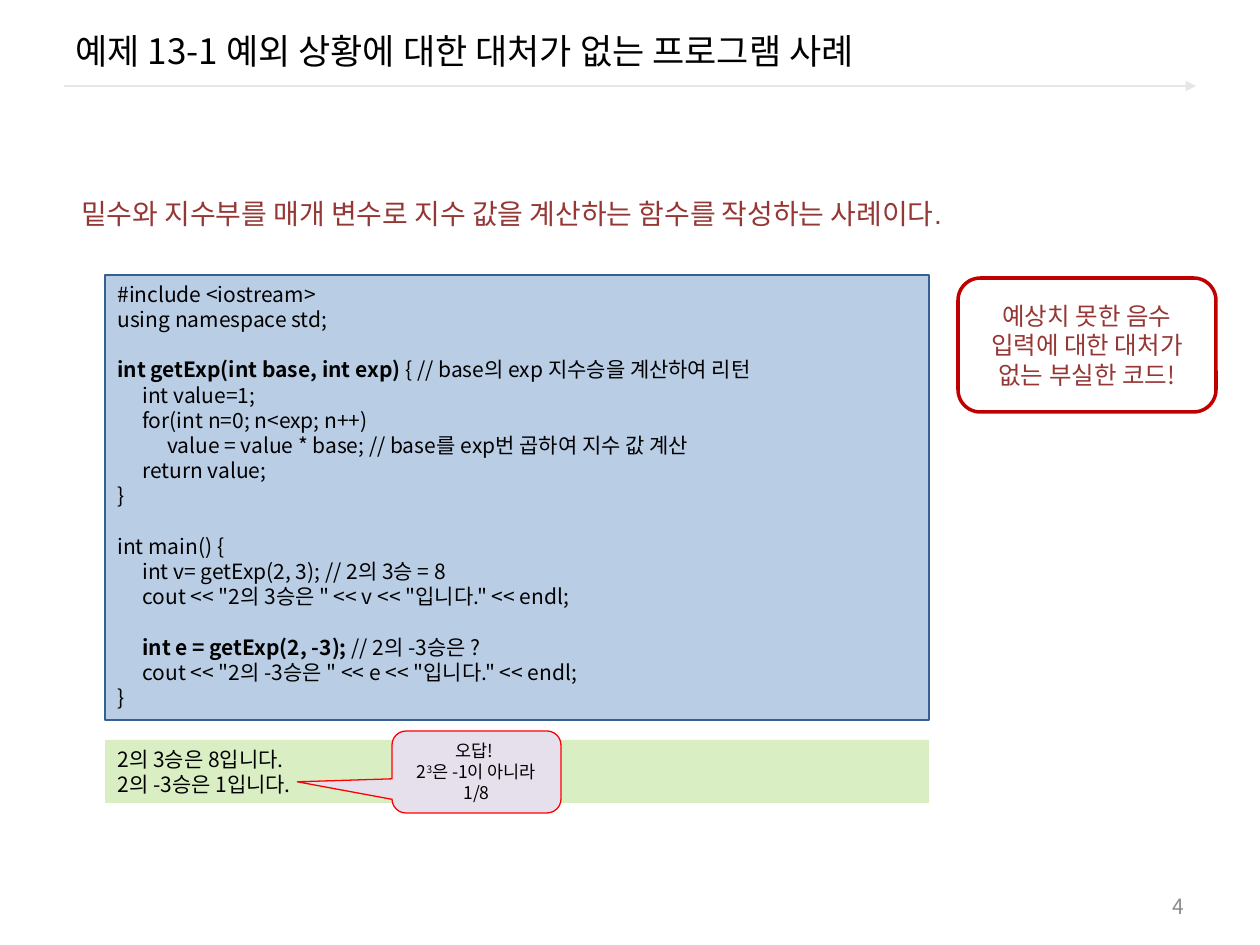
from dataclasses import dataclass, field

from lxml import etree
from pptx import Presentation
from pptx.dml.color import RGBColor
from pptx.enum.shapes import MSO_CONNECTOR, MSO_SHAPE
from pptx.enum.text import MSO_ANCHOR, PP_ALIGN
from pptx.oxml.ns import qn
from pptx.util import Emu, Pt

RECT = MSO_SHAPE.RECTANGLE
ROUNDED = MSO_SHAPE.ROUNDED_RECTANGLE
CALLOUT = MSO_SHAPE.ROUNDED_RECTANGULAR_CALLOUT
STRAIGHT = MSO_CONNECTOR.STRAIGHT
TOP, MIDDLE = MSO_ANCHOR.TOP, MSO_ANCHOR.MIDDLE
LEFT, CENTER, RIGHT = PP_ALIGN.LEFT, PP_ALIGN.CENTER, PP_ALIGN.RIGHT

EMU_PER_PX = 914400 / 126
TAB_PX = 25
LINE_HEIGHT = 1.2


@dataclass(frozen=True)
class Theme:
    font: str = "Noto Sans CJK KR"
    lead_font: str = "Arial"
    black: str = "000000"
    gray: str = "8C8C8C"
    rule: str = "E6E6E6"
    maroon: str = "953735"
    code_fill: str = "B9CDE5"
    code_line: str = "376092"
    output_fill: str = "DAEEC4"
    callout_fill: str = "E6E0EC"
    callout_line: str = "FF0000"
    warning_line: str = "C00000"
    title_size: int = 20
    lead_size: int = 16
    warning_size: int = 14
    body_size: int = 12
    callout_size: int = 10


THEME = Theme()


@dataclass(frozen=True)
class Span:
    text: str
    bold: bool = False
    superscript: bool = False


@dataclass(frozen=True)
class Line:
    spans: list[Span]
    gap_before: bool = False


@dataclass(frozen=True)
class Block:
    left: int
    top: int
    width: int
    height: int
    lines: list[Line]
    size: int = THEME.body_size
    color: str = THEME.black
    font: str = THEME.font
    align: PP_ALIGN = LEFT
    anchor: MSO_ANCHOR = TOP
    shape: MSO_SHAPE | None = None
    fill: str | None = None
    outline: str | None = None
    outline_width: float = 0.75
    adjustments: list[float] = field(default_factory=list)


def px(value: int) -> Emu:
    return Emu(round(value * EMU_PER_PX))


def plain(text: str, gap_before: bool = False) -> Line:
    return Line([Span(text)], gap_before)


def add_tab_stops(paragraph, count: int) -> None:
    properties = paragraph._p.get_or_add_pPr()
    stops = etree.Element(qn("a:tabLst"))
    for step in range(1, count + 1):
        etree.SubElement(stops, qn("a:tab"), pos=str(px(TAB_PX * step)), algn="l")
    properties.find(qn("a:defRPr")).addprevious(stops)


def write_line(paragraph, line: Line, block: Block) -> None:
    paragraph.alignment = block.align
    paragraph.line_spacing = Pt(block.size * LINE_HEIGHT)
    if line.gap_before:
        paragraph.space_before = Pt(block.size * LINE_HEIGHT)
    font = paragraph.font
    font.size = Pt(block.size)
    font.name = block.font
    font.color.rgb = RGBColor.from_string(block.color)
    east_asian = etree.Element(qn("a:ea"), typeface=THEME.font)
    font._element.find(qn("a:latin")).addnext(east_asian)
    tabs = sum(span.text.count("\t") for span in line.spans)
    if tabs:
        add_tab_stops(paragraph, tabs)
    for span in line.spans:
        run = paragraph.add_run()
        run.text = span.text
        if span.bold:
            run.font.bold = True
        if span.superscript:
            run._r.get_or_add_rPr().set("baseline", "30000")


def draw_block(slide, block: Block) -> None:
    frame = tuple(map(px, (block.left, block.top, block.width, block.height)))
    if block.shape is None:
        box = slide.shapes.add_textbox(*frame)
    else:
        box = slide.shapes.add_shape(block.shape, *frame)
        box.shadow.inherit = False
        for index, value in enumerate(block.adjustments):
            box.adjustments[index] = value
    if block.fill:
        box.fill.solid()
        box.fill.fore_color.rgb = RGBColor.from_string(block.fill)
    else:
        box.fill.background()
    if block.outline:
        box.line.color.rgb = RGBColor.from_string(block.outline)
        box.line.width = Pt(block.outline_width)
    else:
        box.line.fill.background()
    text = box.text_frame
    text.word_wrap = True
    text.vertical_anchor = block.anchor
    for index, line in enumerate(block.lines):
        paragraph = text.add_paragraph() if index else text.paragraphs[0]
        write_line(paragraph, line, block)


def draw_title_rule(slide, left: int, right: int, y: int) -> None:
    rule = slide.shapes.add_connector(STRAIGHT, px(left), px(y), px(right), px(y))
    rule.line.color.rgb = RGBColor.from_string(THEME.rule)
    rule.line.width = Pt(1.5)
    etree.SubElement(rule.line._get_or_add_ln(), qn("a:tailEnd"), type="triangle")
    etree.SubElement(rule._element.spPr, qn("a:effectLst"))


CODE = [
    plain("#include <iostream>"),
    plain("using namespace std;"),
    Line([Span("int getExp(int base, int exp) ", bold=True),
          Span("{ // base의 exp 지수승을 계산하여 리턴")], gap_before=True),
    plain("\tint value=1;"),
    plain("\tfor(int n=0; n<exp; n++)"),
    plain("\t\tvalue = value * base; // base를 exp번 곱하여 지수 값 계산"),
    plain("\treturn value;"),
    plain("}"),
    plain("int main() {", gap_before=True),
    plain("\tint v= getExp(2, 3); // 2의 3승 = 8"),
    plain('\tcout << "2의 3승은 " << v << "입니다." << endl;'),
    Line([Span("\t"), Span("int e = getExp(2, -3); ", bold=True),
          Span("// 2의 -3승은 ?")], gap_before=True),
    plain('\tcout << "2의 -3승은 " << e << "입니다." << endl;'),
    plain("}"),
]

BLOCKS = [
    # Title, page number
    Block(63, 10, 1134, 81, [plain("예제 13-1 예외 상황에 대한 대처가 없는 프로그램 사례")],
          size=THEME.title_size, anchor=MIDDLE),
    Block(903, 886, 294, 40, [plain("4")], color=THEME.gray, align=RIGHT, anchor=MIDDLE),
    # Program output and source code
    Block(105, 740, 824, 63, [plain("2의 3승은 8입니다."), plain("2의 -3승은 1입니다.")],
          shape=RECT, fill=THEME.output_fill),
    Block(105, 275, 824, 445, CODE, shape=RECT, fill=THEME.code_fill,
          outline=THEME.code_line),
    # Wrong-answer callout
    Block(392, 731, 169, 82,
          [plain("오답! "),
           Line([Span("2"), Span("3", superscript=True), Span("은 -1이 아니라 1/8")])],
          size=THEME.callout_size, align=CENTER, anchor=MIDDLE, shape=CALLOUT,
          fill=THEME.callout_fill, outline=THEME.callout_line,
          adjustments=[-1.06, 0.12, 0.17]),
    # Warning and lead sentence
    Block(958, 278, 258, 134,
          [plain("예상치 못한 음수 입력에 대한 대처가 없는 부실한 코드!")],
          size=THEME.warning_size, color=THEME.maroon, align=CENTER, anchor=MIDDLE,
          shape=ROUNDED, outline=THEME.warning_line, outline_width=2),
    Block(69, 190, 1111, 47,
          [plain("밑수와 지수부를 매개 변수로 지수 값을 계산하는 함수를 작성하는 사례이다.")],
          size=THEME.lead_size, color=THEME.maroon, font=THEME.lead_font),
]


def main() -> None:
    deck = Presentation()
    deck.slide_width, deck.slide_height = px(1260), px(945)
    slide = deck.slides.add_slide(deck.slide_layouts[6])
    draw_title_rule(slide, 64, 1196, 86)
    for block in BLOCKS:
        draw_block(slide, block)
    deck.save("out.pptx")


if __name__ == "__main__":
    main()
